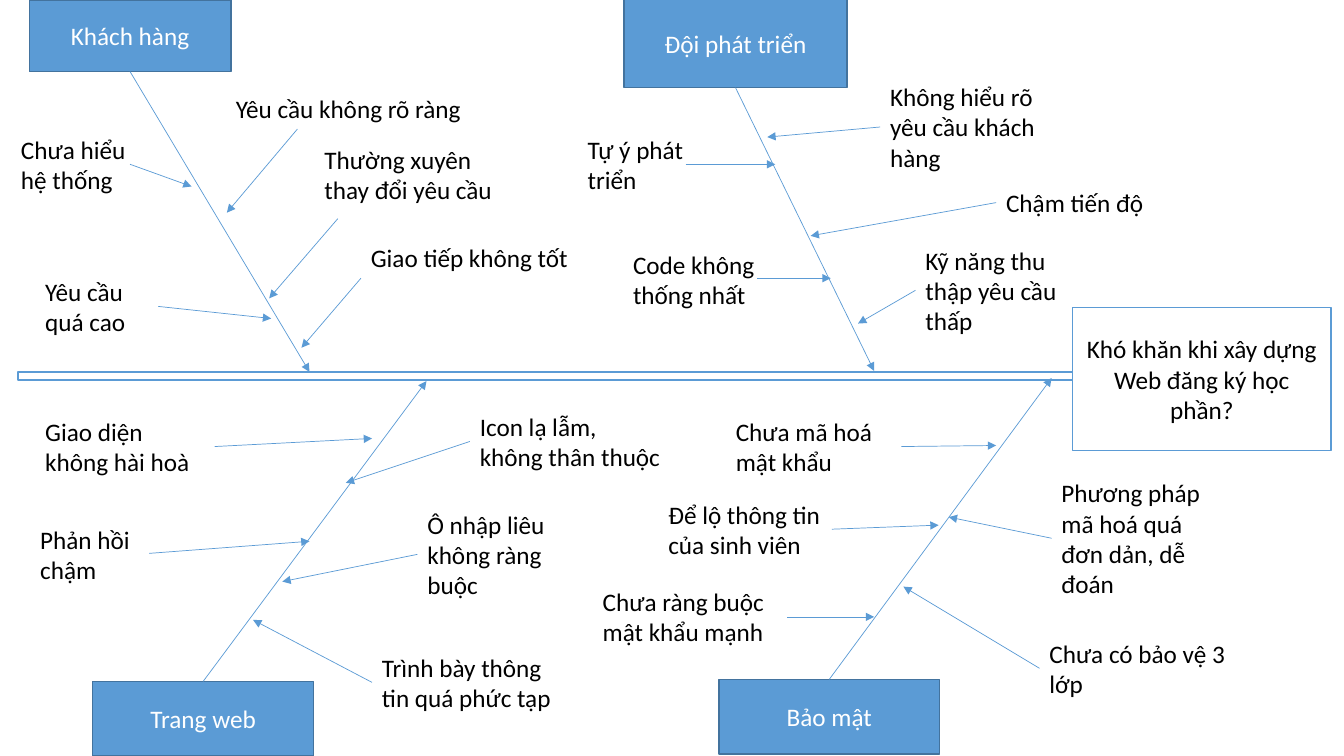
from dataclasses import dataclass
from enum import IntEnum

from lxml.etree import SubElement
from pptx import Presentation
from pptx.dml.color import RGBColor
from pptx.enum.shapes import MSO_CONNECTOR, MSO_SHAPE
from pptx.enum.text import MSO_ANCHOR, MSO_AUTO_SIZE, PP_ALIGN
from pptx.oxml.ns import qn
from pptx.shapes.autoshape import Shape
from pptx.shapes.connector import Connector
from pptx.slide import Slide
from pptx.text.text import TextFrame
from pptx.util import Inches, Pt

BLUE = RGBColor(0x5B, 0x9B, 0xD5)
DARK_BLUE = RGBColor(0x43, 0x73, 0x9E)
WHITE = RGBColor(0xFF, 0xFF, 0xFF)
BLACK = RGBColor(0x00, 0x00, 0x00)
FONT = "Calibri"
TEXT_SIZE = Pt(18)
LINE_HEIGHT = 0.3
LABEL_PADDING = 0.1

Point = tuple[float, float]


class Side(IntEnum):
    TOP = 0
    LEFT = 1
    BOTTOM = 2
    RIGHT = 3


@dataclass(frozen=True)
class Box:
    left: float
    top: float
    width: float
    height: float


@dataclass(frozen=True)
class Cause:
    text: str
    left: float
    top: float
    width: float
    lines: int
    start: Side | Point
    tip: Point


@dataclass(frozen=True)
class Category:
    name: str
    box: Box
    bone_side: Side
    bone_tip: Point
    causes: tuple[Cause, ...]


SPINE = Box(0.18, 3.69, 10.46, 0.08)
EFFECT = Box(10.64, 3.05, 2.56, 1.42)
EFFECT_TEXT = "Khó khăn khi xây dựng Web đăng ký học phần?"

CATEGORIES = (
    Category("Khách hàng", Box(0.29, 0, 2, 0.71), Side.BOTTOM, (3.07, 3.69), (
        Cause("Yêu cầu không rõ ràng", 2.24, 0.88, 2.76, 1, (2.95, 1.28), (2.25, 2.11)),
        Cause("Chưa hiểu hệ thống", 0.11, 1.28, 1.45, 2, (1.29, 1.63), (1.9, 1.85)),
        Cause("Yêu cầu quá cao", 0.35, 2.69, 1.22, 2, Side.RIGHT, (2.69, 3.16)),
        Cause("Thường xuyên thay đổi yêu cầu", 3.12, 1.38, 2.13, 2, (3.35, 2.17), (2.67, 2.96)),
        Cause("Giao tiếp không tốt", 3.58, 2.36, 2.17, 1, (3.58, 2.76), (2.99, 3.45)),
    )),
    Category("Đội phát triển", Box(6.19, -0.01, 2.21, 0.88), Side.BOTTOM, (8.67, 3.68), (
        Cause("Không hiểu rõ yêu cầu khách hàng", 8.73, 0.76, 1.69, 3, Side.LEFT, (7.61, 1.36)),
        Cause("Tự ý phát triển", 5.73, 1.28, 1.47, 2, (6.8, 1.63), (7.69, 1.63)),
        Cause("Code không thống nhất", 6.18, 2.42, 1.62, 2, (7.51, 2.76), (8.24, 2.76)),
        Cause("Chậm tiến độ", 9.88, 1.81, 1.6, 1, Side.LEFT, (8.04, 2.34)),
        Cause("Kỹ năng thu thập yêu cầu thấp", 9.08, 2.38, 1.6, 3, Side.LEFT, (8.51, 3.21)),
    )),
    Category("Trang web", Box(0.92, 6.76, 2.19, 0.74), Side.TOP, (4.23, 3.78), (
        Cause("Giao diện không hài hoà", 0.35, 4.08, 1.78, 2, Side.RIGHT, (3.69, 4.35)),
        Cause("Icon lạ lẫm, không thân thuộc", 4.66, 4.03, 2.01, 2, Side.LEFT, (3.43, 4.79)),
        Cause("Phản hồi chậm", 0.3, 5.15, 1.6, 2, (1.48, 5.49), (3.07, 5.37)),
        Cause("Ô nhập liêu không ràng buộc", 4.14, 5, 1.83, 3, Side.LEFT, (2.8, 5.77)),
        Cause("Trình bày thông tin quá phức tạp", 3.69, 6.42, 2.05, 2, Side.LEFT, (2.51, 6.15)),
    )),
    Category("Bảo mật", Box(7.13, 6.74, 2.19, 0.74), Side.TOP, (10.43, 3.75), (
        Cause("Chưa mã hoá mật khẩu", 7.2, 4.08, 1.74, 2, Side.RIGHT, (9.88, 4.42)),
        Cause("Phương pháp mã hoá quá đơn dản, dễ đoán", 10.43, 4.69, 1.86, 4, Side.LEFT, (9.41, 5.13)),
        Cause("Để lộ thông tin của sinh viên", 6.53, 4.9, 1.72, 2, Side.RIGHT, (9.31, 5.21)),
        Cause("Chưa có bảo vệ 3 lớp", 10.31, 6.28, 2.32, 2, Side.LEFT, (8.96, 5.82)),
        Cause("Chưa ràng buộc mật khẩu mạnh", 5.88, 5.77, 1.93, 2, Side.RIGHT, (8.67, 6.12)),
    )),
)


def write_text(frame: TextFrame, text: str, color: RGBColor, align: PP_ALIGN) -> None:
    frame.word_wrap = True
    frame.text = text
    paragraph = frame.paragraphs[0]
    paragraph.alignment = align
    font = paragraph.runs[0].font
    font.name = FONT
    font.size = TEXT_SIZE
    font.color.rgb = color


def draw_box(slide: Slide, box: Box, fill: RGBColor, outline: RGBColor,
             text: str = "", color: RGBColor = BLACK) -> Shape:
    rectangle = slide.shapes.add_shape(
        MSO_SHAPE.RECTANGLE, Inches(box.left), Inches(box.top), Inches(box.width), Inches(box.height))
    rectangle.shadow.inherit = False
    rectangle.fill.solid()
    rectangle.fill.fore_color.rgb = fill
    rectangle.line.color.rgb = outline
    rectangle.line.width = Pt(1)
    if text:
        rectangle.text_frame.vertical_anchor = MSO_ANCHOR.MIDDLE
        write_text(rectangle.text_frame, text, color, PP_ALIGN.CENTER)
    return rectangle


def draw_arrow(slide: Slide, source: Shape, start: Side | Point, tip: Point) -> Connector:
    begin = tip if isinstance(start, Side) else start
    arrow = slide.shapes.add_connector(
        MSO_CONNECTOR.STRAIGHT, Inches(begin[0]), Inches(begin[1]), Inches(tip[0]), Inches(tip[1]))
    if isinstance(start, Side):
        arrow.begin_connect(source, int(start))
    arrow.line.color.rgb = BLUE
    arrow.line.width = Pt(0.5)
    properties = arrow.element.spPr
    SubElement(properties.find(qn("a:ln")), qn("a:tailEnd"), type="triangle")
    SubElement(properties, qn("a:effectLst"))
    return arrow


def draw_cause(slide: Slide, cause: Cause) -> None:
    label = slide.shapes.add_textbox(
        Inches(cause.left), Inches(cause.top), Inches(cause.width),
        Inches(LABEL_PADDING + LINE_HEIGHT * cause.lines))
    write_text(label.text_frame, cause.text, BLACK, PP_ALIGN.LEFT)
    label.text_frame.auto_size = MSO_AUTO_SIZE.SHAPE_TO_FIT_TEXT
    draw_arrow(slide, label, cause.start, cause.tip)


def draw_category(slide: Slide, category: Category) -> None:
    heading = draw_box(slide, category.box, BLUE, DARK_BLUE, category.name, WHITE)
    draw_arrow(slide, heading, category.bone_side, category.bone_tip)
    for cause in category.causes:
        draw_cause(slide, cause)


def main() -> None:
    presentation = Presentation()
    presentation.slide_width = Inches(13.33)
    presentation.slide_height = Inches(7.5)
    slide = presentation.slides.add_slide(presentation.slide_layouts[6])
    draw_box(slide, SPINE, WHITE, BLUE)
    draw_box(slide, EFFECT, WHITE, BLUE, EFFECT_TEXT)
    for category in CATEGORIES:
        draw_category(slide, category)
    presentation.save("out.pptx")


if __name__ == "__main__":
    main()
